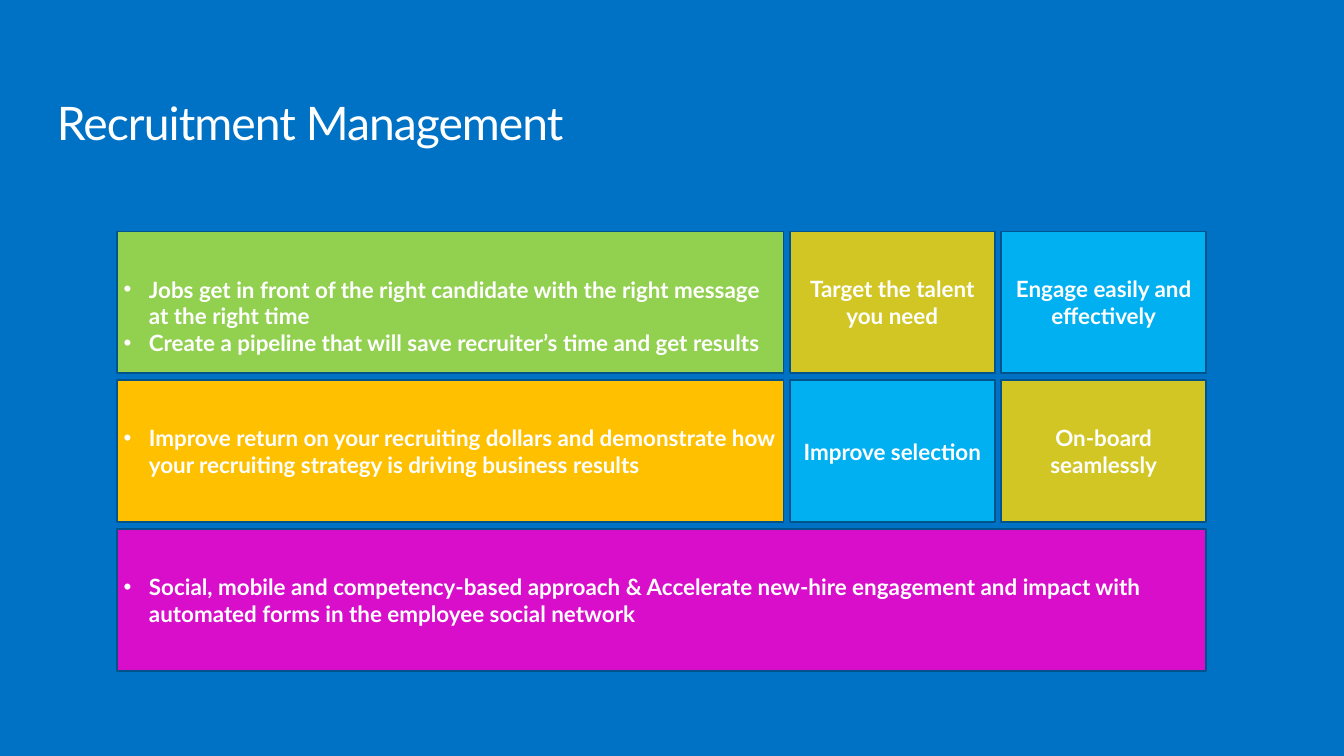
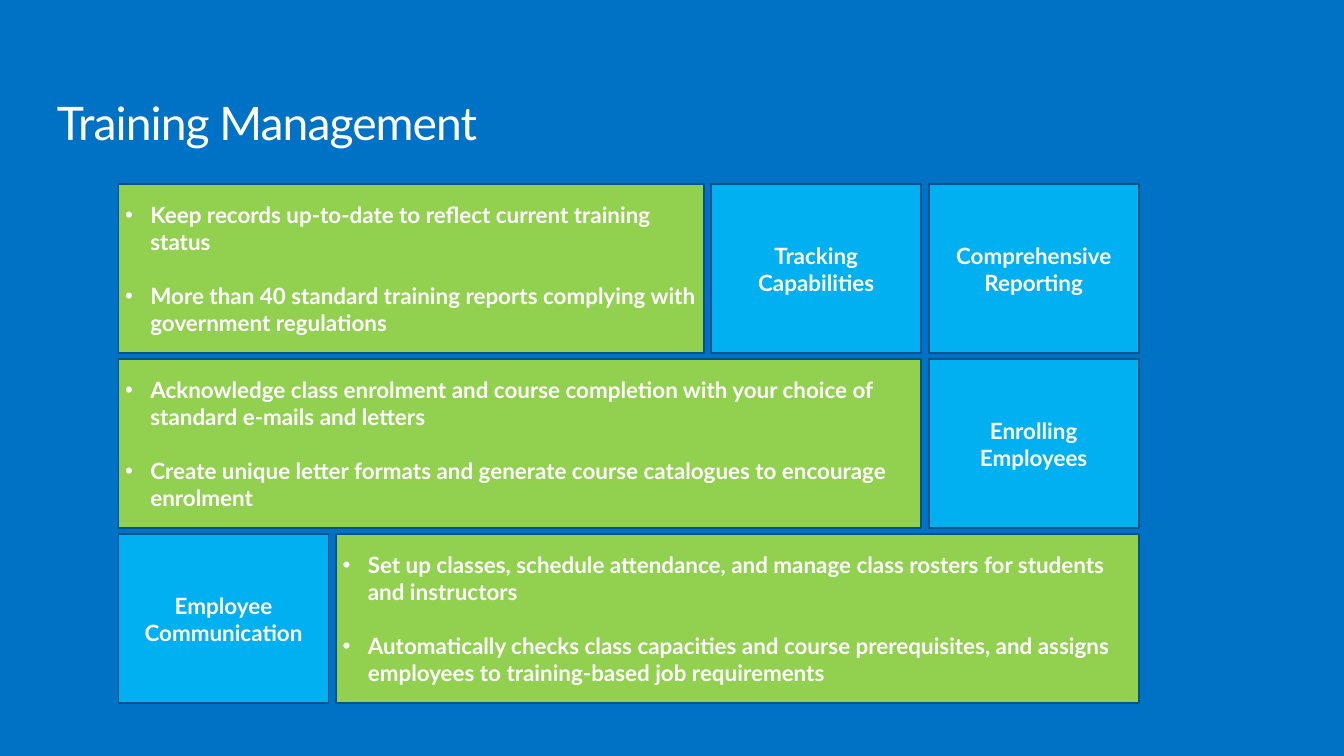
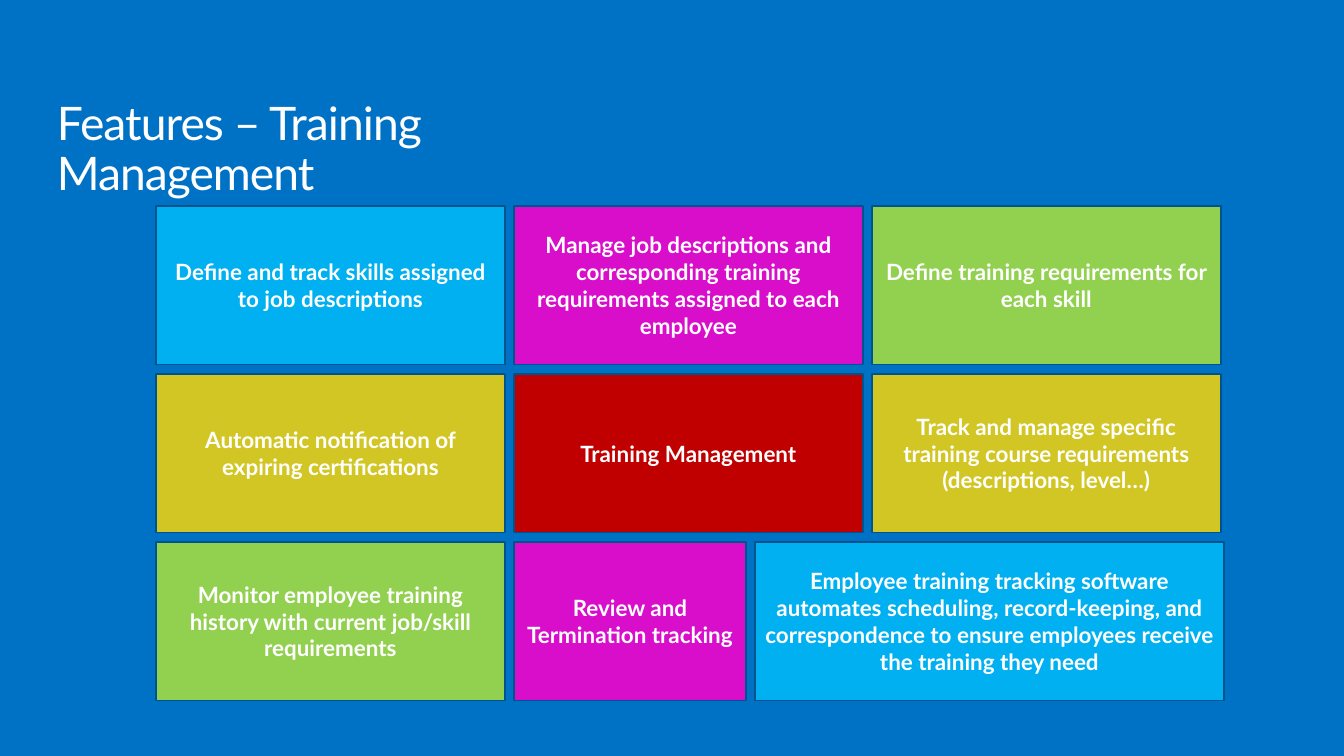
import pptx
import pptx.util
import pptx.dml.color
import pptx.enum.shapes
import pptx.enum.text
import pptx.oxml.ns
import lxml.etree

Pt = pptx.util.Pt
RGB = pptx.dml.color.RGBColor
ALIGN = pptx.enum.text.PP_ALIGN
ANCHOR = pptx.enum.text.MSO_ANCHOR
RECT = pptx.enum.shapes.MSO_SHAPE.RECTANGLE

# Shared colours and type
BLUE = RGB(0x00, 0x72, 0xC6)
EDGE = RGB(0x00, 0x54, 0x8B)
WHITE = RGB(0xFF, 0xFF, 0xFF)
GREEN = RGB(0x92, 0xD0, 0x50)
OLIVE = RGB(0xD2, 0xC6, 0x24)
SKY = RGB(0x00, 0xB0, 0xF0)
AMBER = RGB(0xFF, 0xC0, 0x00)
PINK = RGB(0xD8, 0x0E, 0xCA)
RED = RGB(0xC0, 0x00, 0x00)
FONT = "Lato"
INDENT = 27
LINE = 29  # height of one text line in a tile


def add_run(para, text, size, bold=False):
    run = para.add_run()
    run.text = text
    run.font.name = FONT
    run.font.size = Pt(size)
    run.font.bold = bold
    run.font.color.rgb = WHITE
    return run


def add_title(slide, text, width):
    frame = slide.shapes.add_textbox(Pt(61), Pt(108), Pt(width), Pt(54)).text_frame
    frame.word_wrap = True
    frame.margin_left = frame.margin_right = 0
    frame.margin_top = frame.margin_bottom = 0
    para = frame.paragraphs[0]
    para.line_spacing = 0.9
    run = add_run(para, text, 49.5)
    run.font._element.set("spc", "-100")


def add_bullet(para):
    props = para._p.get_or_add_pPr()
    props.set("marL", str(Pt(INDENT)))
    props.set("indent", str(-Pt(INDENT)))
    for tag, key, value in (("a:buFont", "typeface", "Arial"),
                            ("a:buChar", "char", "•")):
        item = lxml.etree.SubElement(props, pptx.oxml.ns.qn(tag))
        item.set(key, value)


def add_tile(slide, box, fill, text, space=0, drop=0):
    """A string is centred; a list becomes bullets, set apart by space."""
    tile = slide.shapes.add_shape(RECT, *[Pt(v) for v in box])
    tile.shadow.inherit = False
    tile.fill.solid()
    tile.fill.fore_color.rgb = fill
    tile.line.color.rgb = EDGE
    tile.line.width = Pt(2)
    frame = tile.text_frame
    frame.word_wrap = True
    frame.vertical_anchor = ANCHOR.MIDDLE
    frame.margin_top = Pt(3.6 + drop)
    listed = isinstance(text, list)
    for i, part in enumerate(text if listed else [text]):
        para = frame.add_paragraph() if i else frame.paragraphs[0]
        para.alignment = ALIGN.LEFT if listed else ALIGN.CENTER
        if listed:
            add_bullet(para)
        if i and space:
            para.space_before = Pt(space)
        add_run(para, part, 24, True)


def add_wall(slide, left, top, height, gaps, rows):
    """Rows of tiles, each tile given as width, fill, text and options."""
    across, down = gaps
    for i, row in enumerate(rows):
        x, y = left, top + i * (height + down)
        for width, fill, text, *more in row:
            add_tile(slide, (x, y, width, height), fill, text, *more)
            x += width + across


def recruit(slide):
    add_title(slide, "Recruitment Management", 1317)
    wide, small = 714, 220
    add_wall(slide, 125.5, 248, 152, (6.5, 7.5), [
        [(wide, GREEN, [
            "Jobs get in front of the right candidate with the right message at the right time",
            "Create a pipeline that will save recruiter’s time and get results"], 0, LINE),
         (small, OLIVE, "Target the talent you need"),
         (small, SKY, "Engage easily and effectively")],
        [(wide, AMBER, [
            "Improve return on your recruiting dollars and demonstrate how "
            "your recruiting strategy is driving business results"]),
         (small, SKY, "Improve selection"),
         (small, OLIVE, "On-board seamlessly")],
        [(1167, PINK, [
            "Social, mobile and competency-based approach & Accelerate new-hire engagement "
            "and impact with automated forms in the employee social network"])],
    ])


def train(slide):
    add_title(slide, "Training Management", 1317)
    wide, small = 860, 225
    add_wall(slide, 127, 197.5, 181, (8, 6.5), [
        [(627, GREEN, [
            "Keep records up-to-date to reflect current training status",
            "More than 40 standard training reports complying with government regulations"], LINE),
         (small, SKY, "Tracking Capabilities"),
         (small, SKY, "Comprehensive Reporting")],
        [(wide, GREEN, [
            "Acknowledge class enrolment and course completion with your choice of "
            "standard e-mails and letters",
            "Create unique letter formats and generate course catalogues to encourage "
            "enrolment"], LINE),
         (small, SKY, "Enrolling Employees")],
        [(small, SKY, "Employee Communication"),
         (wide, GREEN, [
             "Set up classes, schedule attendance, and manage class rosters for students "
             "and instructors",
             "Automatically checks class capacities and course prerequisites, and assigns "
             "employees to training-based job requirements"], LINE)],
    ])


def feature(slide):
    add_title(slide, "Features – Training Management", 656)
    third = 374
    add_wall(slide, 167, 220.5, 170, (9.5, 10), [
        [(third, SKY, "Define and track skills assigned to job descriptions"),
         (third, PINK, "Manage job descriptions and corresponding training requirements "
                       "assigned to each employee"),
         (third, GREEN, "Define training requirements for each skill")],
        [(third, OLIVE, "Automatic notification of expiring certifications"),
         (third, RED, "Training Management"),
         (third, OLIVE, "Track and manage specific training course requirements "
                        "(descriptions, level…)")],
        [(third, GREEN, "Monitor employee training history with current job/skill requirements"),
         (249, PINK, "Review and Termination tracking"),
         (502, SKY, "Employee training tracking software automates scheduling, "
                    "record-keeping, and correspondence to ensure employees receive "
                    "the training they need")],
    ])


def main():
    deck = pptx.Presentation()
    deck.slide_width, deck.slide_height = Pt(1440), Pt(810)
    # One background for every slide
    back = deck.slide_master.background.fill
    back.solid()
    back.fore_color.rgb = BLUE
    for build in (recruit, train, feature):
        build(deck.slides.add_slide(deck.slide_layouts[6]))
    deck.save("out.pptx")


if __name__ == "__main__":
    main()
